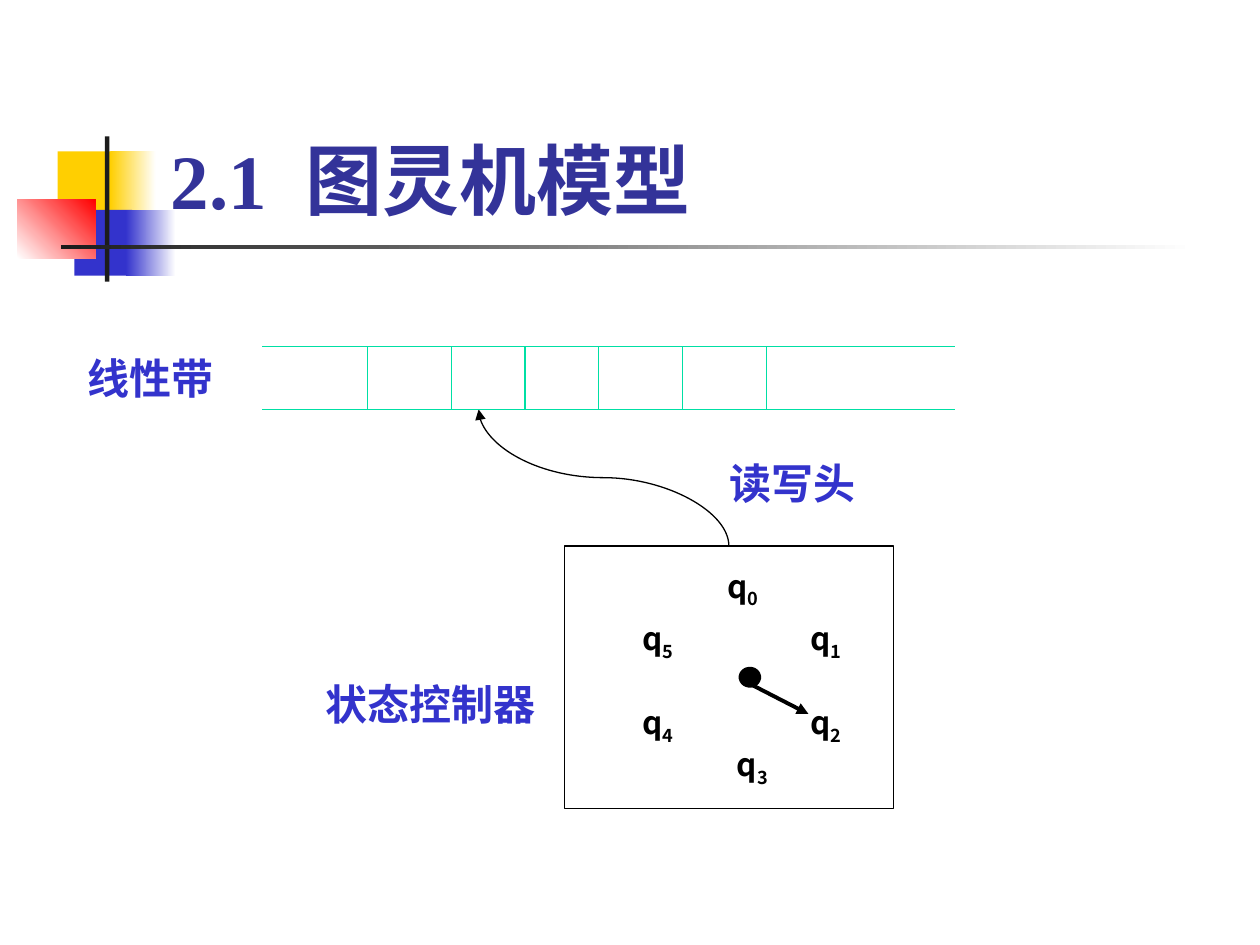
from pptx import Presentation
from pptx.dml.color import RGBColor
from pptx.enum.shapes import MSO_CONNECTOR, MSO_SHAPE
from pptx.enum.text import MSO_ANCHOR, PP_ALIGN
from pptx.oxml.ns import qn
from pptx.util import Pt
from lxml import etree

COLORS = {
    "white": "FFFFFF", "black": "000000", "ink": "1C1C1C",
    "title": "333399", "blue": "3333CC", "yellow": "FFCF01",
    "red": "FF0000", "tape": "00DFA4",
}
LATIN, CJK = "Times New Roman", "Noto Sans CJK SC"


def rgb(name):
    """Return the named colour."""
    return RGBColor.from_string(COLORS[name])


def add_box(slide, box, fill, line=None, kind=MSO_SHAPE.RECTANGLE, weight=0.75):
    """Add a solid shape at box (left, top, width, height)."""
    shape = slide.shapes.add_shape(kind, *map(Pt, box))
    shape.shadow.inherit = False
    shape.fill.solid()
    shape.fill.fore_color.rgb = rgb(fill)
    if line:
        shape.line.color.rgb = rgb(line)
        shape.line.width = Pt(weight)
    else:
        shape.line.fill.background()
    return shape


def add_fade(slide, box, start, end, angle=0):
    """Add a borderless rectangle with a two-colour gradient."""
    fill = add_box(slide, box, start).fill
    fill.gradient()
    fill.gradient_angle = angle
    for stop, color in zip(fill.gradient_stops, (start, end)):
        stop.color.rgb = rgb(color)


def add_run(paragraph, text, size, color, font):
    """Add a bold run with the font set for Latin and East Asian text."""
    run = paragraph.add_run()
    run.text = text
    run.font.size, run.font.bold, run.font.name = Pt(size), True, font
    run.font.color.rgb = rgb(color)
    etree.SubElement(run.font._element, qn("a:ea")).set("typeface", CJK)
    return run


def add_label(slide, box, text, size=24, color="blue", sub="", align=PP_ALIGN.CENTER):
    """Add a white label, with an optional subscript."""
    frame = add_box(slide, box, "white", "white").text_frame
    frame.word_wrap = False
    frame.vertical_anchor = MSO_ANCHOR.MIDDLE
    paragraph = frame.paragraphs[0]
    paragraph.alignment = align
    add_run(paragraph, text, size, color, CJK)
    if sub:
        run = add_run(paragraph, sub, size, color, CJK)
        run.font._element.set("baseline", "-25000")


def add_line(slide, start, end, color, weight=0.75, arrow=False,
             kind=MSO_CONNECTOR.STRAIGHT):
    """Add a connector, optionally with an arrowhead at its end."""
    line = slide.shapes.add_connector(kind, *map(Pt, (*start, *end)))
    line.line.color.rgb = rgb(color)
    line.line.width = Pt(weight)
    if arrow:
        etree.SubElement(line.line._get_or_add_ln(), qn("a:tailEnd")).set("type", "triangle")
    etree.SubElement(line._element.spPr, qn("a:effectLst"))
    return line


def draw_ornament(slide, x, y):
    """Draw the coloured squares and crossing bars beside the title."""
    add_box(slide, (x + 23, y + 8.5, 34.5, 37.5), "yellow")
    add_fade(slide, (x + 53, y + 8.5, 26, 37.5), "yellow", "white")
    add_box(slide, (x + 32.5, y + 42, 33, 37.5), "blue")
    add_fade(slide, (x + 62, y + 42, 28.5, 37.5), "blue", "white")
    add_fade(slide, (x, y + 36, 44.5, 33.5), "white", "red", 45)
    add_box(slide, (x + 50, y, 2.5, 83), "ink")
    add_fade(slide, (x + 25, y + 62, 648, 2.5), "ink", "white")


def draw_title(slide, box):
    """Place the title in front of the ornament."""
    title = slide.shapes.title
    title.left, title.top, title.width, title.height = map(Pt, box)
    slide.shapes._spTree.append(title._element)
    frame = title.text_frame
    frame.word_wrap = True
    frame.vertical_anchor = MSO_ANCHOR.BOTTOM
    paragraph = frame.paragraphs[0]
    paragraph.alignment = PP_ALIGN.LEFT
    add_run(paragraph, "2.1", 44, "title", LATIN)
    add_run(paragraph, " ", 44, "title", LATIN).font._element.set("spc", "1100")
    add_run(paragraph, "图灵机模型", 44, "title", LATIN)


def draw_tape(slide, x, y, width, height):
    """Draw the open-ended tape, its cell borders and its label."""
    add_label(slide, (x - 116, y - 12, 104, 60), "线性带")
    for edge in (y, y + height):
        add_line(slide, (x, edge), (x + width, edge), "tape")
    for offset in (60, 108, 150, 192, 240, 288):
        add_line(slide, (x + offset, y), (x + offset, y + height), "tape")


def draw_controller(slide, x, y, width, height):
    """Draw the state controller with its ring of states and pointer."""
    add_box(slide, (x, y, width, height), "white", "black")
    add_label(slide, (x - 142.5, y + 60, 132, 60), "状态控制器")
    states = [(88, 12), (135.5, 42), (135.5, 90), (93.5, 114), (39.5, 90), (39.5, 42)]
    for number, (dx, dy) in enumerate(states):
        add_label(slide, (x + dx, y + dy, 28, 24), "q", 18, "black", str(number))
    add_box(slide, (x + 102.5, y + 72, 7, 6), "black", "black", MSO_SHAPE.OVAL, 6)
    add_line(slide, (x + 104.5, y + 78), (x + 139.5, y + 96), "black", 2.25, True)


def draw_head(slide, start, end):
    """Draw the read-write head as an S-curve leaving start vertically."""
    (x1, y1), (x2, y2) = start, end
    mid_x, mid_y = (x1 + x2) / 2, (y1 + y2) / 2
    half_w, half_h = (y1 - y2) / 2, (x1 - x2) / 2
    curve = add_line(slide, (mid_x - half_w, mid_y + half_h),
                     (mid_x + half_w, mid_y - half_h), "black",
                     arrow=True, kind=MSO_CONNECTOR.CURVE)
    curve._element.spPr.find(qn("a:xfrm")).set("rot", "16200000")
    add_label(slide, (x1 - 6.5, y1 - 54, 94.5, 36), "读写头", align=PP_ALIGN.LEFT)


def main():
    """Build and save the slide."""
    deck = Presentation()
    deck.slide_width, deck.slide_height = Pt(720), Pt(540)
    slide = deck.slides.add_slide(deck.slide_layouts[5])
    draw_ornament(slide, 10, 78)
    draw_title(slide, (90.5, 16.5, 613.5, 115.5))
    draw_controller(slide, 322.5, 312, 188, 150)
    draw_head(slide, (416.5, 312), (273.5, 234))
    draw_tape(slide, 150, 198, 396, 36)
    deck.save("out.pptx")


main()
